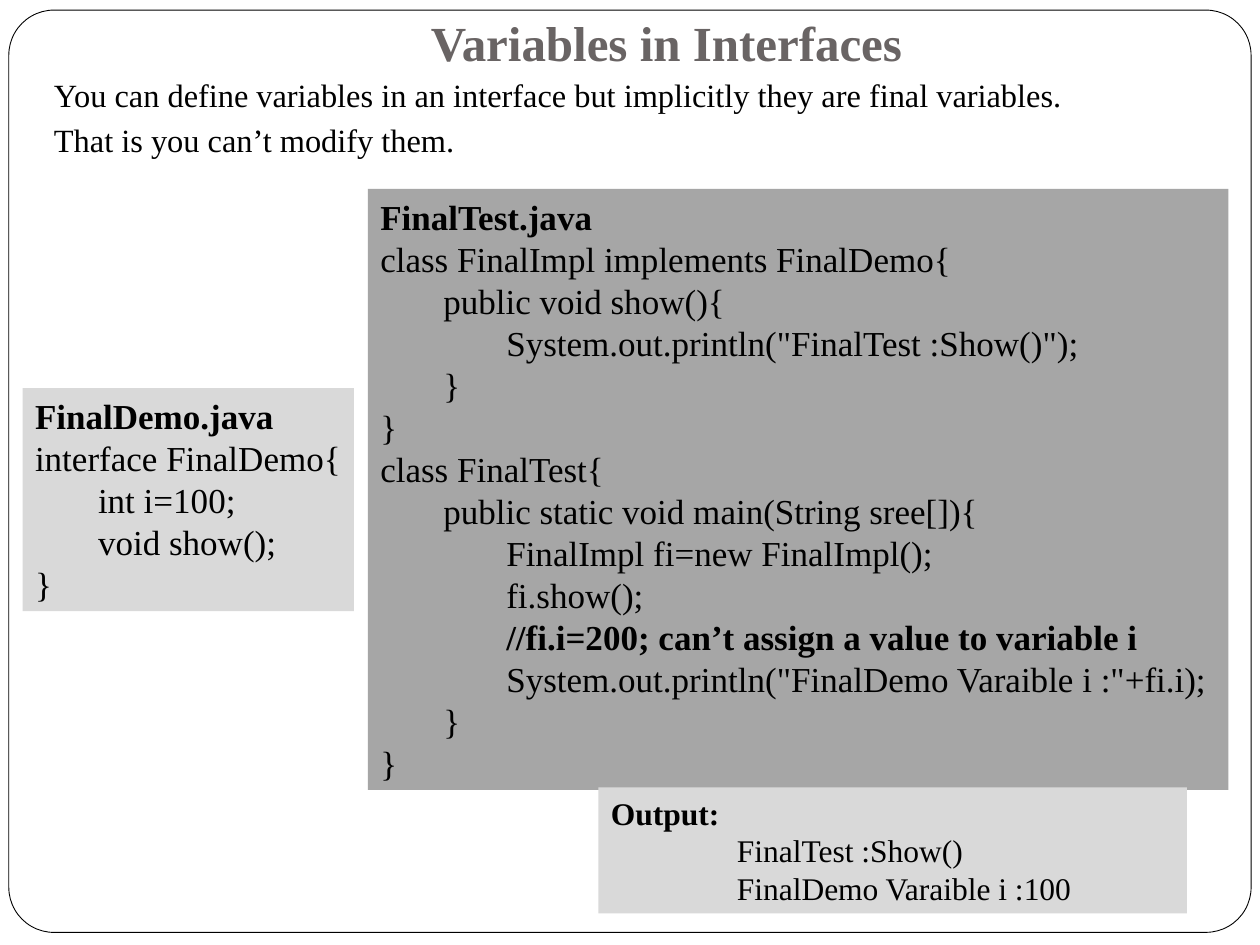
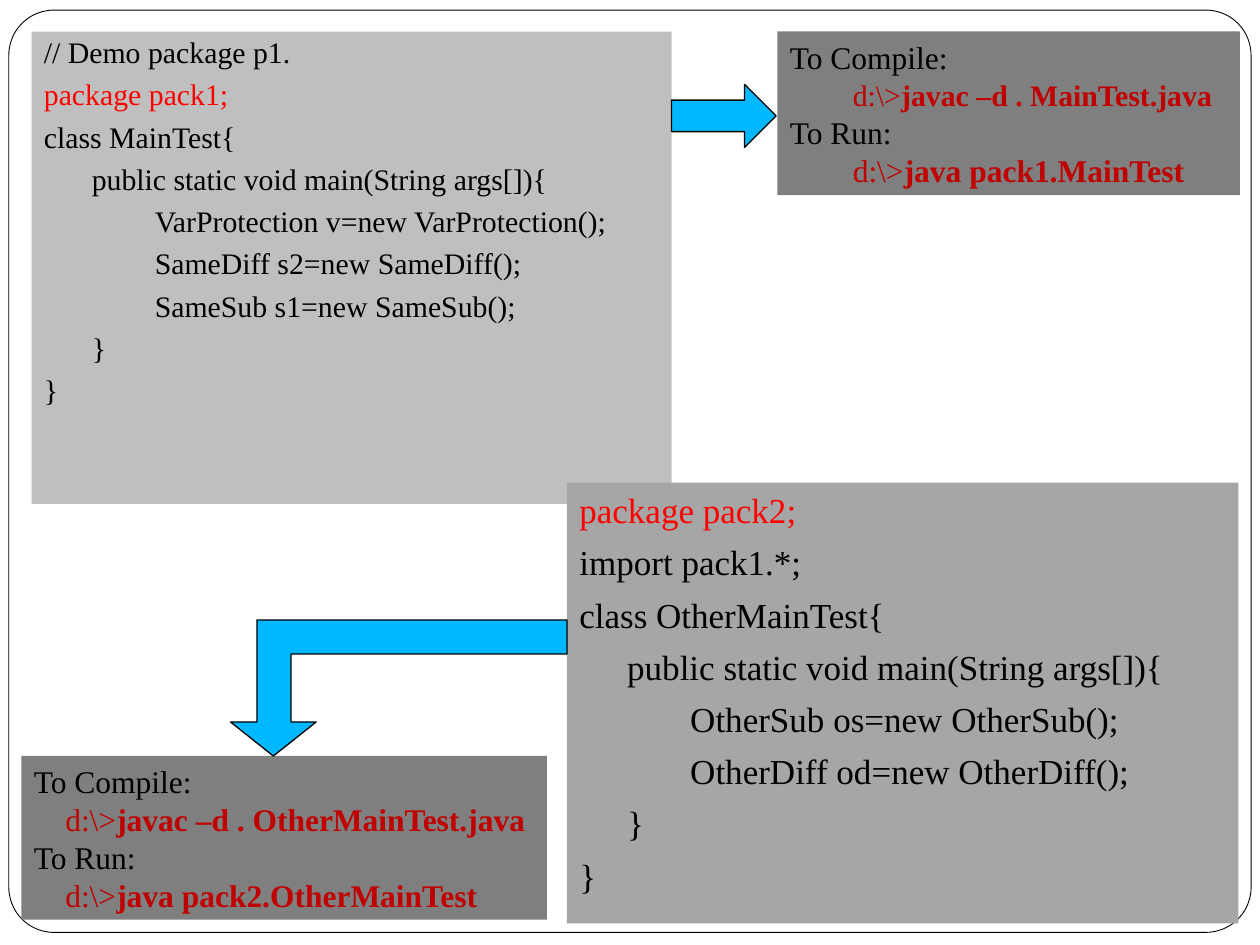
"""Builds two slides on Java interface variables and packages."""
from lxml import etree
from pptx import Presentation
from pptx import util as u
from pptx.dml.color import RGBColor
from pptx.enum import shapes, text
from pptx.oxml.ns import qn

FONT = "Times New Roman"
BLACK, RED, DARK_RED = "000000", "FF0000", "C00000"
TITLE_GREY, ARROW_BLUE = "696464", "00B8FF"
PALE, LIGHT, MEDIUM, DARK = "D9D9D9", "BFBFBF", "A6A6A6", "7F7F7F"
BOLD = {"bold": True}
KEYWORD = {"color": RED}
PROMPT = {"color": DARK_RED}
COMMAND = {"color": DARK_RED, "bold": True}
HANGING = {"space_before": u.Pt(5.8)}
TIGHT = {"space_before": u.Pt(5.8), "line_spacing": 0.9}


def colour(target, value):
    """Set a fill or font colour from a hex string."""
    if hasattr(target, "solid"):
        target.solid()
        target = target.fore_color
    target.rgb = RGBColor.from_string(value)


def write(frame, lines, size, spacing, margin, first_line):
    """Write lines, each a string or a list of (text, format) runs."""
    tab_width = 1 if first_line else 0.5
    for number, line in enumerate(lines):
        paragraph = frame.paragraphs[0] if number == 0 else frame.add_paragraph()
        paragraph.alignment = text.PP_ALIGN.LEFT
        for name, value in spacing.items():
            setattr(paragraph, name, value)
        properties = paragraph._p.get_or_add_pPr()
        shift = margin if isinstance(margin, float) else margin[number]
        properties.set("marL", str(u.Inches(shift)))
        properties.set("indent", str(u.Inches(first_line)))
        stops = etree.SubElement(properties, qn("a:tabLst"))
        for step in range(8):
            etree.SubElement(stops, qn("a:tab"), pos=str(u.Inches(step * tab_width)), algn="l")
        for words, style in [(line, {})] if isinstance(line, str) else line:
            run = paragraph.add_run()
            run.text = words
            look = {"name": FONT, "size": u.Pt(size), "bold": False, "color": BLACK} | style
            colour(run.font.fill, look.pop("color"))
            for name, value in look.items():
                setattr(run.font, name, value)


prs = Presentation()
prs.slide_width, prs.slide_height = u.Inches(10), u.Inches(7.5)
variables = prs.slides.add_slide(prs.slide_layouts[5])
packages = prs.slides.add_slide(prs.slide_layouts[6])

border = variables.shapes.add_shape(
    shapes.MSO_SHAPE.ROUNDED_RECTANGLE, *map(u.Inches, (0.07, 0.08, 9.86, 7.32)))
border.adjustments[0] = 0.049
border.shadow.inherit = False
border.fill.background()
colour(border.line.fill, BLACK)
border.line.width = u.Pt(0.5)
prs.slide_master.element.cSld.spTree.insert(2, border.element)

heading = variables.shapes.title
heading_place = {"left": 0.58, "top": 0.17, "width": 9.42, "height": 0.5}
for side, inches in heading_place.items():
    setattr(heading, side, u.Inches(inches))
heading_frame = heading.text_frame
heading_frame.text = "Variables in Interfaces"
heading_format = {"vertical_anchor": text.MSO_ANCHOR.BOTTOM, "word_wrap": True,
                  "auto_size": text.MSO_AUTO_SIZE.NONE, "margin_bottom": u.Inches(0.1)}
for name, value in heading_format.items():
    setattr(heading_frame, name, value)
heading_frame.paragraphs[0].alignment = text.PP_ALIGN.CENTER
heading_font = heading_frame.paragraphs[0].runs[0].font
for name, value in {"name": FONT, "size": u.Pt(28), "bold": True}.items():
    setattr(heading_font, name, value)
colour(heading_font.fill, TITLE_GREY)

intro = [
    "You can define variables in an interface but implicitly they are final variables.",
    "That is you can’t modify them.",
]
final_test = [
    [("FinalTest.java", BOLD)],
    "class FinalImpl implements FinalDemo{",
    "\tpublic void show(){",
    "\t\tSystem.out.println(\"FinalTest :Show()\");",
    "\t}",
    "}",
    "class FinalTest{",
    "\tpublic static void main(String sree[]){",
    "\t\tFinalImpl fi=new FinalImpl();",
    "\t\tfi.show();",
    [("\t\t//fi.i=200; can’t assign a value to variable i", BOLD)],
    "\t\tSystem.out.println(\"FinalDemo Varaible i :\"+fi.i);",
    "\t}",
    "}",
]
final_demo = [
    [("FinalDemo.java", BOLD)],
    "interface FinalDemo{",
    "\tint i=100;",
    "\tvoid show();",
    "}",
]
output = [
    [("Output:", BOLD)],
    "\t\tFinalTest :Show()",
    "\t\tFinalDemo Varaible i :100",
]
main_test = [
    "// Demo package p1.",
    [("package pack1;", KEYWORD)],
    "class MainTest{",
    "\tpublic static void main(String args[]){",
    "\t\tVarProtection v=new VarProtection();",
    "\t\tSameDiff s2=new SameDiff();",
    "\t\tSameSub s1=new SameSub();",
    "\t}",
    "}",
]
other_main_test = [
    [("package pack2;", KEYWORD)],
    "import pack1.*;",
    "class OtherMainTest{",
    "\tpublic static void main(String args[]){",
    "\t\tOtherSub os=new OtherSub();",
    "\t\tOtherDiff od=new OtherDiff();",
    "\t}",
    "}",
]
main_commands = [
    "To Compile:",
    [("\t", {}), ("d:\\>", PROMPT | {"size": u.Pt(17)}),
     ("javac –d . MainTest.java", COMMAND | {"size": u.Pt(17)})],
    "To Run:",
    [("\t", {}), ("d:\\>", PROMPT), ("java pack1.MainTest", COMMAND)],
]
other_commands = [
    "To Compile:",
    [("d:\\>", PROMPT), ("javac –d . OtherMainTest.java", COMMAND)],
    "To Run:",
    [("d:\\>", PROMPT), ("java pack2.OtherMainTest", COMMAND)],
]

panels = [
    (variables, (0.33, 0.58, 9.42, 0.83), None, intro, 18.5, TIGHT, 0.38, -0.38),
    (variables, (2.92, 1.5, 6.83, 4.77), MEDIUM, final_test, 20, {}, 0.0, 0),
    (variables, (0.18, 3.08, 2.63, 1.77), PALE, final_demo, 20, {}, 0.0, 0),
    (variables, (4.75, 6.25, 4.67, 1), PALE, output, 18, {}, 0.0, 0),
    (packages, (0.25, 0.25, 5.08, 3.75), LIGHT, main_test, 17, TIGHT, 0.38, -0.38),
    (packages, (4.5, 3.83, 5.33, 3.5), MEDIUM, other_main_test, 20, HANGING, 0.38, -0.38),
    (packages, (6.17, 0.25, 3.67, 1.3), DARK, main_commands, 18, {}, 0.0, 0),
    (packages, (0.17, 6, 4.17, 1.3), DARK, other_commands, 18, {}, (0, 0.25, 0, 0.25), 0),
]
for slide, place, fill, lines, size, spacing, margin, first_line in panels:
    box = [u.Inches(inches) for inches in place]
    if fill:
        panel = slide.shapes.add_shape(shapes.MSO_SHAPE.RECTANGLE, *box)
        panel.shadow.inherit = False
        panel.line.fill.background()
        colour(panel.fill, fill)
    else:
        panel = slide.shapes.add_textbox(*box)
    grows = fill and not spacing
    frame_format = {
        "word_wrap": lines is not final_demo,
        "vertical_anchor": text.MSO_ANCHOR.TOP,
        "auto_size": text.MSO_AUTO_SIZE.SHAPE_TO_FIT_TEXT if grows else text.MSO_AUTO_SIZE.NONE,
    }
    for name, value in frame_format.items():
        setattr(panel.text_frame, name, value)
    write(panel.text_frame, lines, size, spacing, margin, first_line)

to_main_commands = packages.shapes.add_shape(
    shapes.MSO_SHAPE.RIGHT_ARROW, *map(u.Inches, (5.33, 0.67, 0.83, 0.5)))
bend = packages.shapes.build_freeform(450, 519, scale=u.Inches(0.01))
bend.add_line_segments([(231, 519), (231, 573), (251, 573), (217, 600),
                        (183, 573), (204, 573), (204, 492), (450, 492)], close=True)
to_other_commands = bend.convert_to_shape()
for arrow in (to_main_commands, to_other_commands):
    arrow.shadow.inherit = False
    colour(arrow.fill, ARROW_BLUE)
    colour(arrow.line.fill, BLACK)
    arrow.line.width = u.Pt(0.75)

prs.save("out.pptx")
